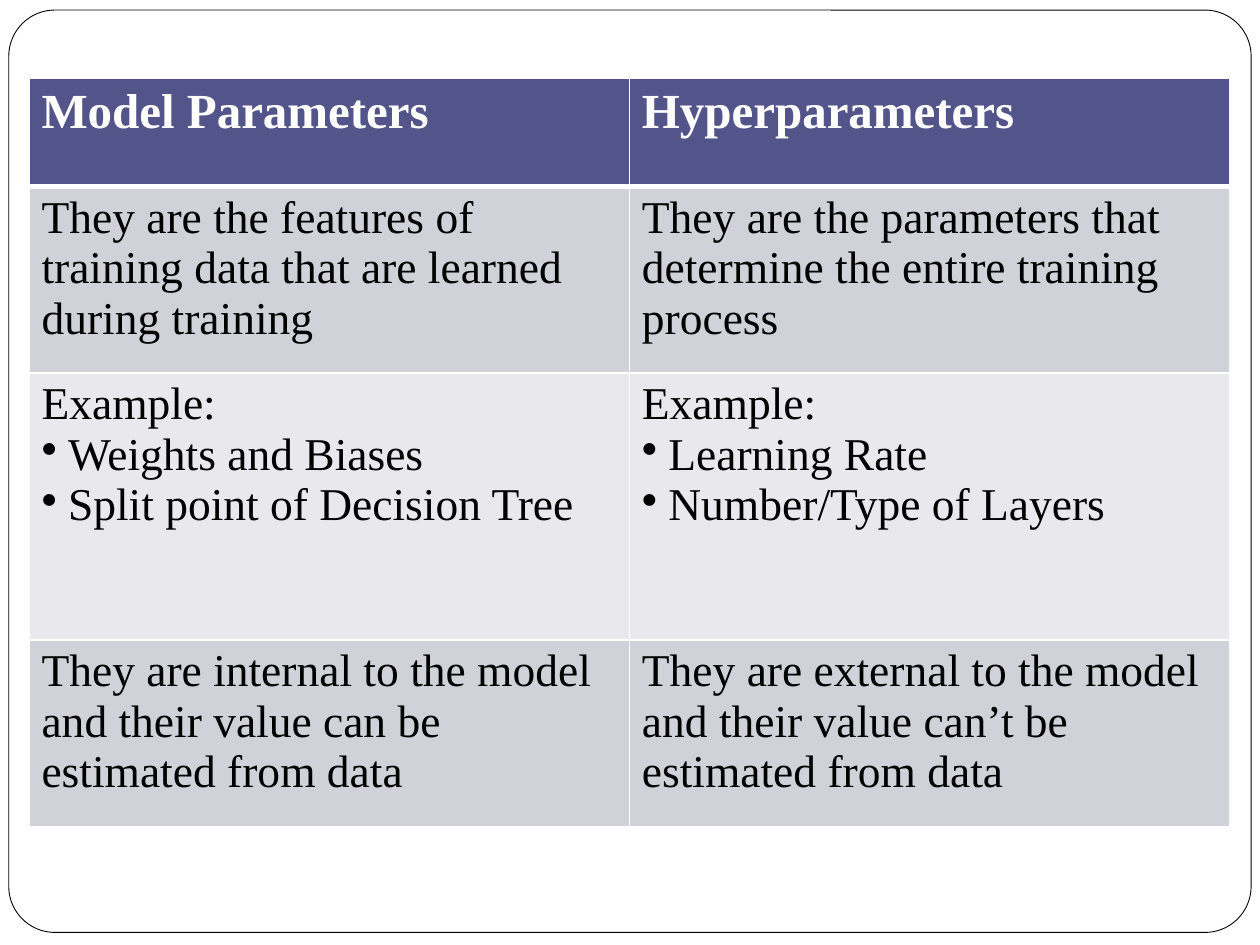
"""Build a slide with a table comparing model parameters and hyperparameters."""
from lxml.etree import SubElement
from pptx import Presentation
from pptx.dml.color import RGBColor
from pptx.enum.shapes import MSO_SHAPE
from pptx.oxml import parse_xml
from pptx.oxml.ns import nsdecls, qn
from pptx.util import Inches, Pt


def paint(fill, color):
    fill.solid()
    fill.fore_color.rgb = RGBColor.from_string(color)


def add_border(cell, index, side, width):
    cell._tc.get_or_add_tcPr().insert(index, parse_xml(
        f'<a:{side} {nsdecls("a")} w="{Pt(width)}"><a:solidFill>'
        f'<a:srgbClr val="FFFFFF"/></a:solidFill></a:{side}>'))


HEADER = {"size": Pt(28), "bold": True, "name": "Times New Roman"}
BODY = {"size": Pt(26), "bold": False, "name": "Times New Roman"}
BULLET_INDENT = Inches(0.21)
ROWS = [
    (0.86, "53548A", "FFFFFF", HEADER,
     [["Model Parameters"], ["Hyperparameters"]]),
    (1.48, "D1D1DA", "000000", BODY,
     [["They are the features of training data that are learned during training"],
      ["They are the parameters that determine the entire training process"]]),
    (2.12, "E9E9ED", "000000", BODY,
     [["Example:", "Weights and Biases", "Split point of Decision Tree"],
      ["Example:", "Learning Rate", "Number/Type of Layers"]]),
    (1.48, "D1D1DA", "000000", BODY,
     [["They are internal to the model and their value can be estimated from data"],
      ["They are external to the model and their value can’t be estimated from data"]]),
]

prs = Presentation()
prs.slide_width, prs.slide_height = Inches(10), Inches(7.5)
s = prs.slides.add_slide(prs.slide_layouts[6])

frame = s.shapes.add_shape(MSO_SHAPE.ROUNDED_RECTANGLE, Inches(0.07), Inches(0.08),
                           Inches(9.86), Inches(7.32))
frame.adjustments[0] = 0.05
frame.shadow.inherit = False
paint(frame.fill, "FFFFFF")
paint(frame.line.fill, "000000")
frame.line.width = Pt(0.5)

table = s.shapes.add_table(len(ROWS), 2, Inches(0.23), Inches(0.62), Inches(9.53),
                           Inches(sum(row[0] for row in ROWS))).table

for r_index, (height, fill, color, font, texts) in enumerate(ROWS):
    table.rows[r_index].height = Inches(height)
    for cell, lines in zip(table.rows[r_index].cells, texts):
        paint(cell.fill, fill)
        widths = {"lnL": 1, "lnR": 1, "lnT": 3 if r_index == 1 else 1,
                  "lnB": 3 if r_index == 0 else 1}
        for index, (side, width) in enumerate(widths.items()):
            add_border(cell, index, side, width)
        tf = cell.text_frame
        for number, line in enumerate(lines):
            p = tf.add_paragraph() if number else tf.paragraphs[0]
            r = p.add_run()
            r.text = line
            for name, value in font.items():
                setattr(r.font, name, value)
            paint(r.font.fill, color)
            if number:
                pPr = p._p.get_or_add_pPr()
                pPr.set("marL", str(BULLET_INDENT))
                pPr.set("indent", str(-BULLET_INDENT))
                SubElement(pPr, qn("a:buChar")).set("char", "•")

prs.save("out.pptx")
